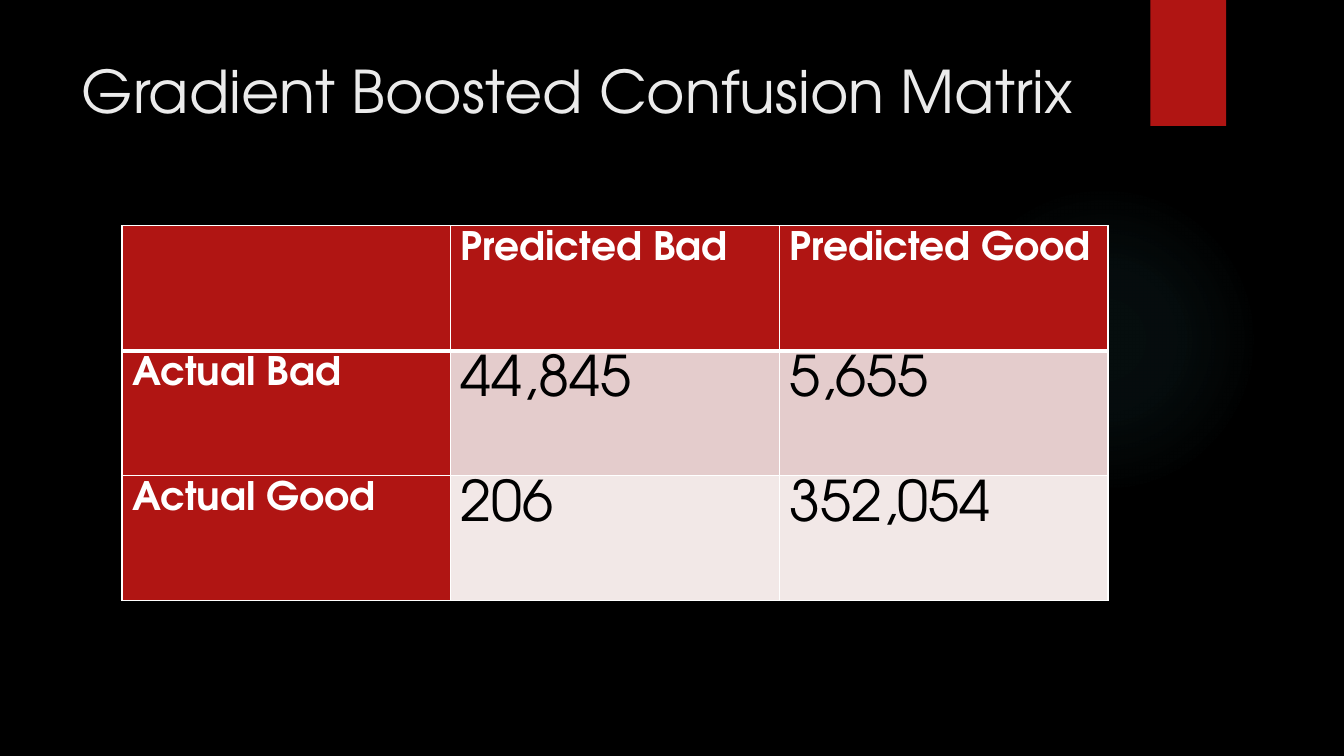
"""Build the confusion matrix slide of a gradient boosted model."""
from dataclasses import dataclass

from pptx import Presentation
from pptx.dml.color import RGBColor
from pptx.enum.shapes import MSO_SHAPE as Shape
from pptx.enum.text import MSO_ANCHOR as Anchor, PP_ALIGN as Align
from pptx.oxml import parse_xml
from pptx.oxml.ns import nsdecls, qn
from pptx.util import Inches, Pt

WIDTH, HEIGHT = Inches(13.33), Inches(7.5)


@dataclass(frozen=True)
class Theme:
    font: str = "TeX Gyre Adventor"
    back: str = "000000"
    title: str = "EBEBEB"
    accent: str = "B01513"
    glow: str = "50B9C1"
    light: str = "FFFFFF"
    dark: str = "000000"
    bands: tuple = ("E4CCCC", "F2E8E7")
    title_size: int = 42
    label_size: int = 28
    value_size: int = 40


THEME = Theme()
MATRIX = [
    ["", "Predicted Bad", "Predicted Good"],
    ["Actual Bad", "44,845", "5,655"],
    ["Actual Good", "206", "352,054"],
]


def area(left, top, width, height):
    """Turn percentages of the slide into a position and a size."""
    return [round(share * side / 100) for share, side in
            zip((left, top, width, height), (WIDTH, HEIGHT) * 2)]


def paint(fill, color):
    fill.solid()
    fill.fore_color.rgb = RGBColor.from_string(color)


def write(tf, text, size, color, bold=False, spacing=1.0):
    p = tf.paragraphs[0]
    p.alignment = Align.LEFT
    p.line_spacing = spacing
    p.font.size = Pt(size)
    if not text:
        return
    r = p.add_run()
    r.text = text
    r.font.name = THEME.font
    r.font.size = Pt(size)
    r.font.bold = bold
    r.font.color.rgb = RGBColor.from_string(color)


def add_plain(slide, kind, box, color):
    sp = slide.shapes.add_shape(kind, *box)
    sp.shadow.inherit = False
    sp.line.fill.background()
    paint(sp.fill, color)
    return sp


def add_glow(slide, box):
    sp = add_plain(slide, Shape.OVAL, box, THEME.glow)
    stops = "".join(
        f'<a:gs pos="{pos}000"><a:srgbClr val="{THEME.glow}">'
        f'<a:alpha val="{alpha}000"/></a:srgbClr></a:gs>'
        for pos, alpha in ((0, 7), (36, 6), (69, 0), (100, 0)))
    grad = parse_xml(
        f'<a:gradFill {nsdecls("a")}><a:gsLst>{stops}</a:gsLst>'
        '<a:path path="circle"><a:fillToRect l="50000" t="50000" '
        'r="50000" b="50000"/></a:path></a:gradFill>')
    props = sp.element.spPr
    props.replace(props.find(qn("a:solidFill")), grad)


def add_title(slide, text, box):
    title = slide.shapes.title
    title.left, title.top, title.width, title.height = box
    tf = title.text_frame
    tf.word_wrap = True
    tf.vertical_anchor = Anchor.TOP
    write(tf, text, THEME.title_size, THEME.title)


def set_borders(cell, **widths):
    props = cell._tc.get_or_add_tcPr()
    for index, (side, width) in enumerate(widths.items()):
        line = parse_xml(
            f'<a:ln{side} {nsdecls("a")} w="{Pt(width)}"><a:solidFill>'
            f'<a:srgbClr val="{THEME.light}"/></a:solidFill></a:ln{side}>')
        props.insert(index, line)


def fill_cell(cell, text, row, col):
    is_label = row == 0 or col == 0
    cell.margin_left = cell.margin_right = Inches(0.1)
    cell.margin_top, cell.margin_bottom = Inches(0.12), Inches(0.05)
    cell.vertical_anchor = Anchor.TOP
    paint(cell.fill, THEME.accent if is_label else THEME.bands[row - 1])
    write(cell.text_frame, text,
          size=THEME.label_size if is_label else THEME.value_size,
          color=THEME.light if is_label else THEME.dark,
          bold=is_label, spacing=0.8)
    set_borders(cell, L=1, R=1, T=3 if row == 1 else 1, B=3 if row == 0 else 1)


def add_matrix(slide, rows, box):
    table = slide.shapes.add_table(len(rows), len(rows[0]), *box).table
    for row, texts in enumerate(rows):
        for col, text in enumerate(texts):
            fill_cell(table.cell(row, col), text, row, col)


def main():
    prs = Presentation()
    prs.slide_width, prs.slide_height = WIDTH, HEIGHT
    slide = prs.slides.add_slide(prs.slide_layouts[5])
    paint(slide.background.fill, THEME.back)
    add_glow(slide, area(70.59, 24.4, 23.11, 41.07))
    add_plain(slide, Shape.RECTANGLE, area(85.6, 0, 5.63, 16.67), THEME.accent)
    add_title(slide, "Gradient Boosted Confusion Matrix",
              area(5.33, 6.6, 77.19, 20.4))
    add_matrix(slide, MATRIX, area(9.08, 29.87, 73.37, 49.6))
    prs.save("out.pptx")


if __name__ == "__main__":
    main()
